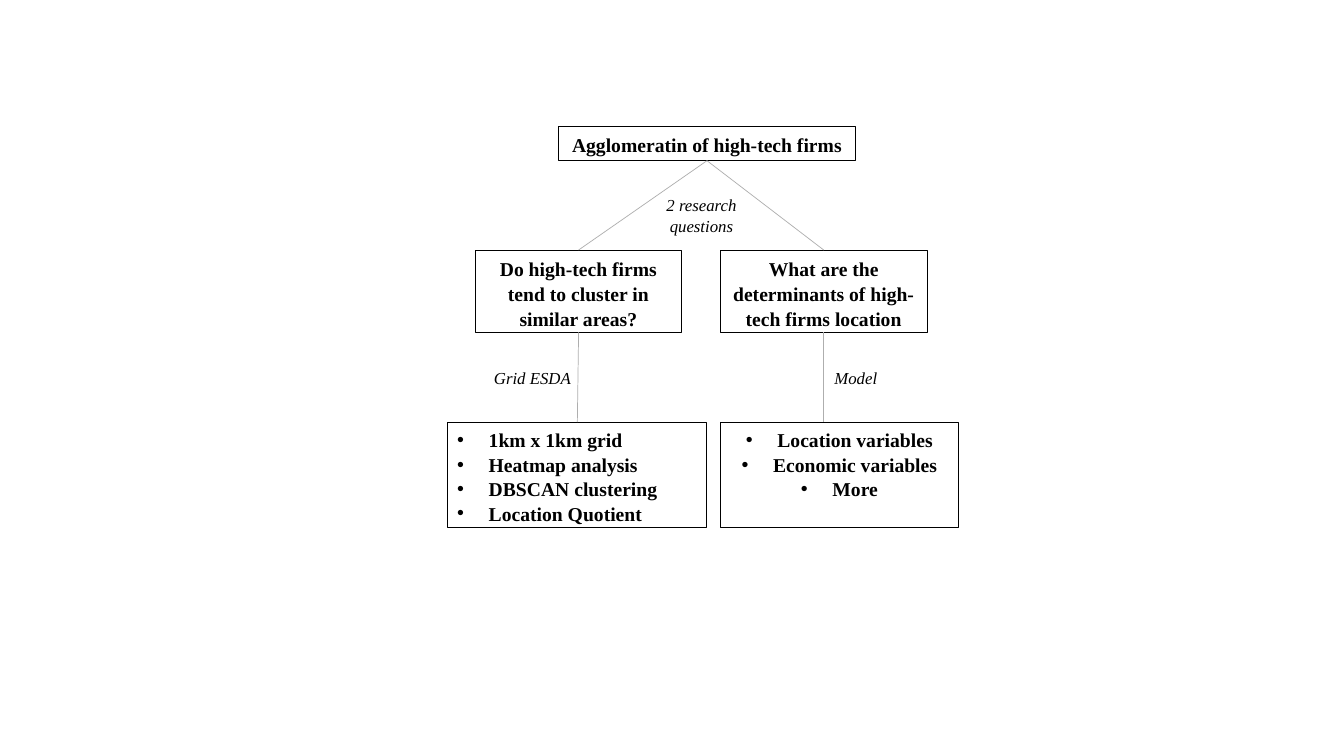
from dataclasses import dataclass

from lxml import etree
from pptx import Presentation
from pptx.enum import shapes as kinds, text as txt
from pptx.dml.color import RGBColor
from pptx.oxml import ns
from pptx.util import Pt

HUES = {"ink": "000000", "link": "AEAEAE"}
FONT = "Times New Roman"
LEFT, MID, RIGHT = txt.PP_ALIGN.LEFT, txt.PP_ALIGN.CENTER, txt.PP_ALIGN.RIGHT


@dataclass
class Box:
    x: float
    y: float
    w: float
    h: float
    lines: list[str]
    lead: float = 1.07
    align: int = MID
    list: bool = False


@dataclass
class Label:
    x: float
    y: float
    h: float
    words: str


@dataclass
class Link:
    x1: float
    y1: float
    x2: float
    y2: float


BOXES = [
    Box(398.9, 90.4, 212.4, 24.4, ["Agglomeratin of high-tech firms"]),
    Box(339.4, 178.6, 147.6, 58.8,
        ["Do high-tech firms tend to cluster in similar areas?"]),
    Box(514.6, 178.6, 147.6, 58.6,
        ["What are the determinants of high-tech firms location"]),
    Box(319.5, 301.6, 185.2, 75,
        ["1km x 1km grid", "Heatmap analysis", "DBSCAN clustering",
         "Location Quotient"], 1.04, LEFT, True),
    Box(514.6, 301.6, 170, 75,
        ["Location variables", "Economic variables", "More"], 1.04, MID, True),
]
LABELS = [
    Label(455, 134.8, 36, "2 research questions"),
    Label(334.2, 258.8, 21.6, "Grid ESDA"),
    Label(565.2, 258.8, 21.6, "Model"),
]
LINKS = [
    Link(505, 114.8, 413.3, 178.6),
    Link(505, 114.8, 588.4, 178.6),
    Link(413.3, 237.4, 412.4, 301.6),
    Link(588.4, 237.4, 588.4, 301.6),
]


def hue(name: str) -> RGBColor:
    return RGBColor.from_string(HUES[name])


def bullet(para) -> None:
    props = para._p.get_or_add_pPr()
    props.set("marL", str(Pt(22.5)))
    props.set("indent", str(-Pt(22.5)))
    etree.SubElement(props, ns.qn("a:buFont")).set("typeface", "Arial")
    etree.SubElement(props, ns.qn("a:buChar")).set("char", "•")


def write(frame, lines: list[str], size: float, lead: float,
          align: int = MID, bold: bool = False, dots: bool = False) -> None:
    frame.word_wrap = True
    frame.vertical_anchor = txt.MSO_ANCHOR.TOP
    frame.text = "\n".join(lines)
    for para in frame.paragraphs:
        if dots:
            bullet(para)
        para.alignment = align
        para.line_spacing = lead
        for run in para.runs:
            font = run.font
            font.name, font.size = FONT, Pt(size)
            font.bold, font.italic = bold, not bold
            font.color.rgb = hue("ink")


def add_box(slide, box: Box) -> None:
    rect = slide.shapes.add_shape(kinds.MSO_SHAPE.RECTANGLE, Pt(box.x),
                                  Pt(box.y), Pt(box.w), Pt(box.h))
    rect.shadow.inherit = False
    rect.fill.background()
    rect.line.color.rgb = hue("ink")
    rect.line.width = Pt(0.75)
    write(rect.text_frame, box.lines, 14, box.lead, box.align, True, box.list)


def add_label(slide, label: Label) -> None:
    area = slide.shapes.add_textbox(Pt(label.x), Pt(label.y), Pt(92.2),
                                    Pt(label.h))
    write(area.text_frame, [label.words], 12, 1.04)


def add_link(slide, link: Link) -> None:
    line = slide.shapes.add_connector(kinds.MSO_CONNECTOR.STRAIGHT,
                                      Pt(link.x1), Pt(link.y1),
                                      Pt(link.x2), Pt(link.y2))
    line.line.color.rgb = hue("link")
    line.line.width = Pt(0.5)
    etree.SubElement(line._element.spPr, ns.qn("a:effectLst"))


def main() -> None:
    deck = Presentation()
    deck.slide_width, deck.slide_height = Pt(960), Pt(540)
    slide = deck.slides.add_slide(deck.slide_layouts[6])
    for box in BOXES:
        add_box(slide, box)
    for label in LABELS:
        add_label(slide, label)
    for link in LINKS:
        add_link(slide, link)
    deck.save("out.pptx")


if __name__ == "__main__":
    main()
